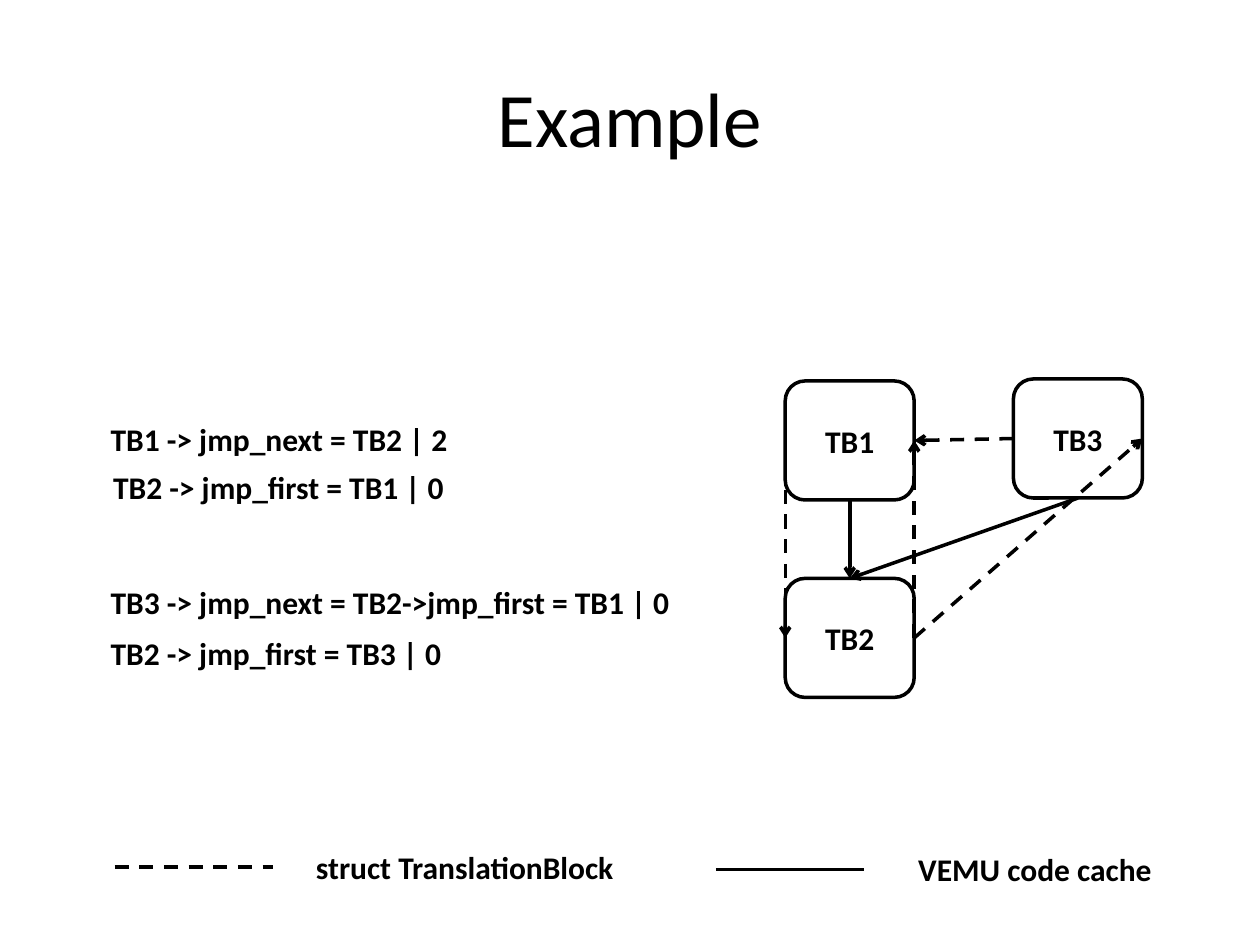
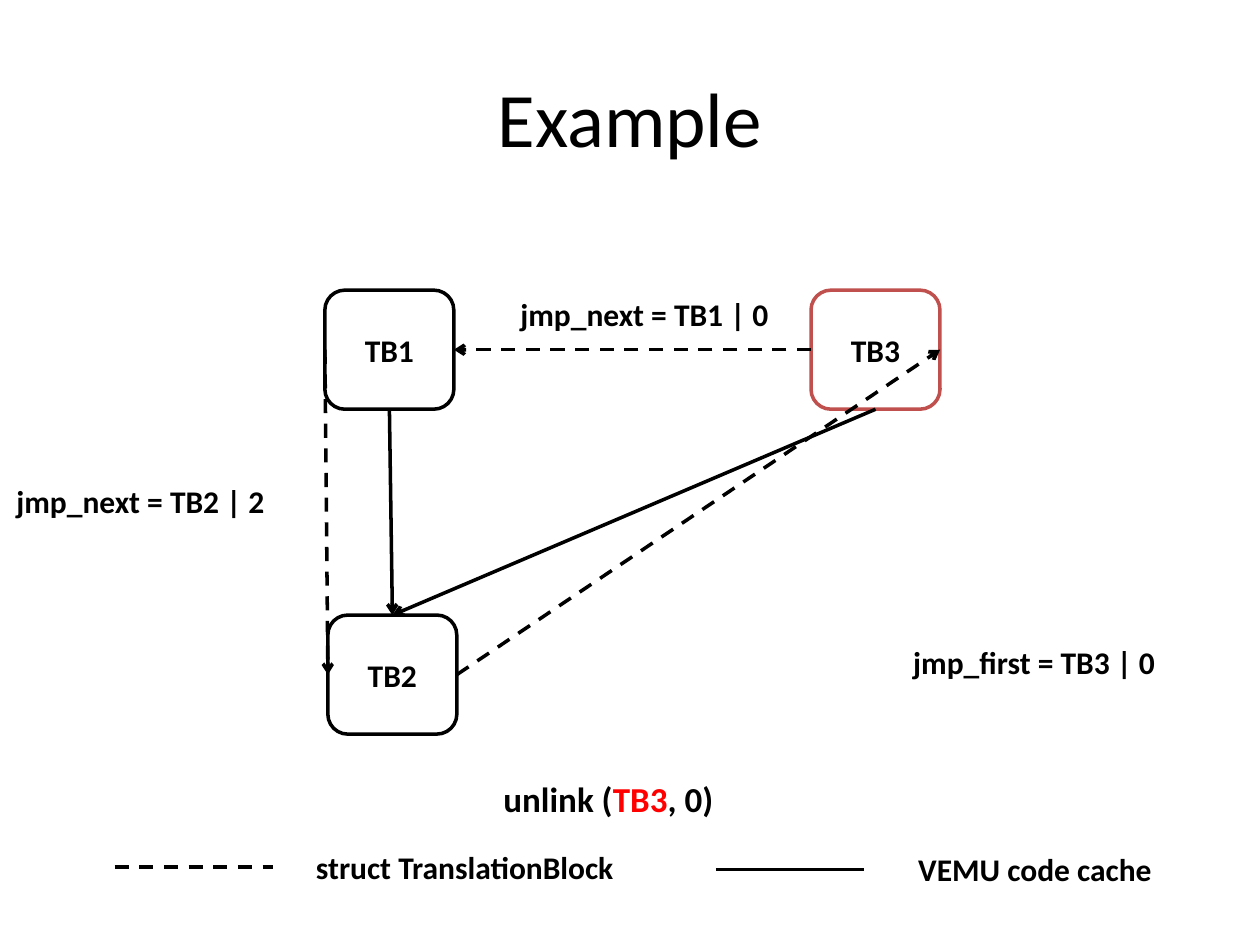
from dataclasses import dataclass

from lxml.etree import SubElement
from pptx import Presentation
from pptx.dml.color import RGBColor
from pptx.enum.dml import MSO_LINE_DASH_STYLE as Dash
from pptx.enum.shapes import MSO_CONNECTOR as ConnectorKind, MSO_SHAPE as ShapeKind
from pptx.enum.text import MSO_ANCHOR as Anchor, MSO_AUTO_SIZE as AutoSize, PP_ALIGN as Align
from pptx.oxml.ns import qn
from pptx.shapes.autoshape import Shape
from pptx.shapes.connector import Connector
from pptx.slide import Slide
from pptx.util import Cm, Pt


@dataclass(frozen=True)
class Theme:
    font: str = "Calibri"
    ink: str = "000000"
    paper: str = "FFFFFF"
    accent: str = "C0504D"
    highlight: str = "FF0000"
    title_size: int = 44
    body_size: int = 18
    call_size: int = 20
    line_width: int = 2


THEME = Theme()
TOP, LEFT, BOTTOM, RIGHT = range(4)
BLOCK_WIDTH, BLOCK_HEIGHT = 2.6, 2.4  # centimetres, as all positions below
LABEL_HEIGHT = 1.02


@dataclass(frozen=True)
class Block:
    name: str
    left: float
    top: float
    outline: str = THEME.ink


@dataclass(frozen=True)
class Link:
    source: str
    source_side: int
    target: str
    target_side: int
    dashed: bool = True


@dataclass(frozen=True)
class Run:
    text: str
    color: str = THEME.ink


@dataclass(frozen=True)
class Label:
    left: float
    top: float
    width: float
    runs: tuple[Run, ...]
    size: int = THEME.body_size


@dataclass(frozen=True)
class LegendLine:
    left: float
    right: float
    y: float
    dashed: bool


@dataclass(frozen=True)
class Diagram:
    blocks: tuple[Block, ...]
    links: tuple[Link, ...]
    labels: tuple[Label, ...]


# Parts on every slide
LEGEND_LINES = (
    LegendLine(2.31, 5.51, 17.48, True),
    LegendLine(14.43, 17.42, 17.53, False),
)
LEGEND_LABELS = (
    Label(6.12, 16.97, 6.58, (Run("struct TranslationBlock"),)),
    Label(18.26, 17.02, 5.28, (Run("VEMU code cache"),)),
)
COMMON_LINKS = (
    Link("TB1", BOTTOM, "TB2", TOP, dashed=False),
    Link("TB3", BOTTOM, "TB2", TOP, dashed=False),
    Link("TB1", LEFT, "TB2", LEFT),
    Link("TB2", RIGHT, "TB3", RIGHT),
    Link("TB3", LEFT, "TB1", RIGHT),
)

# Linking the blocks, then unlinking TB3
DIAGRAMS = (
    Diagram(
        blocks=(
            Block("TB2", 15.83, 11.66),
            Block("TB1", 15.83, 7.68),
            Block("TB3", 20.43, 7.64),
        ),
        links=COMMON_LINKS + (Link("TB2", RIGHT, "TB1", RIGHT),),
        labels=(
            Label(1.98, 8.34, 7.32, (Run("TB1 -> jmp_next = TB2 | 2"),)),
            Label(2.03, 9.32, 7.19, (Run("TB2 -> jmp_first = TB1 | 0"),)),
            Label(1.98, 11.63, 11.81, (Run("TB3 -> jmp_next = TB2->jmp_first = TB1 | 0"),)),
            Label(1.98, 12.65, 7.19, (Run("TB2 -> jmp_first = TB3 | 0"),)),
        ),
    ),
    Diagram(
        blocks=(
            Block("TB2", 6.61, 12.4),
            Block("TB1", 6.55, 5.85),
            Block("TB3", 16.35, 5.85, THEME.accent),
        ),
        links=COMMON_LINKS,
        labels=(
            Label(10.24, 5.82, 5.51, (Run("jmp_next = TB1 | 0"),)),
            Label(0.08, 9.59, 5.51, (Run("jmp_next = TB2 | 2"),)),
            Label(18.16, 12.83, 5.54, (Run("jmp_first = TB3 | 0"),)),
            Label(9.9, 15.54, 5, (Run("unlink ("), Run("TB3", THEME.highlight), Run(", 0)")),
                  THEME.call_size),
        ),
    ),
)


def write_runs(shape: Shape, runs: tuple[Run, ...], size: int,
               align: Align, bold: bool = True) -> None:
    paragraph = shape.text_frame.paragraphs[0]
    paragraph.alignment = align
    for item in runs:
        run = paragraph.add_run()
        run.text = item.text
        run.font.name = THEME.font
        run.font.size = Pt(size)
        run.font.bold = bold
        run.font.color.rgb = RGBColor.from_string(item.color)


def set_title(slide: Slide, text: str) -> None:
    title = slide.shapes.title
    title.left, title.top, title.width, title.height = Cm(1.27), Cm(0.76), Cm(22.86), Cm(3.18)
    title.text_frame.vertical_anchor = Anchor.MIDDLE
    write_runs(title, (Run(text),), THEME.title_size, Align.CENTER, bold=False)


def draw_block(slide: Slide, block: Block) -> Shape:
    shape = slide.shapes.add_shape(
        ShapeKind.ROUNDED_RECTANGLE, Cm(block.left), Cm(block.top),
        Cm(BLOCK_WIDTH), Cm(BLOCK_HEIGHT))
    shape.shadow.inherit = False
    shape.fill.solid()
    shape.fill.fore_color.rgb = RGBColor.from_string(THEME.paper)
    shape.line.color.rgb = RGBColor.from_string(block.outline)
    shape.line.width = Pt(THEME.line_width)
    shape.text_frame.vertical_anchor = Anchor.MIDDLE
    write_runs(shape, (Run(block.name),), THEME.body_size, Align.CENTER)
    return shape


def draw_line(slide: Slide, dashed: bool, left: float = 0, right: float = 0,
              y: float = 0) -> Connector:
    connector = slide.shapes.add_connector(
        ConnectorKind.STRAIGHT, Cm(left), Cm(y), Cm(right), Cm(y))
    connector.line.color.rgb = RGBColor.from_string(THEME.ink)
    connector.line.width = Pt(THEME.line_width)
    if dashed:
        connector.line.dash_style = Dash.DASH
    SubElement(connector._element.spPr, qn("a:effectLst"))
    return connector


def draw_link(slide: Slide, link: Link, shapes: dict[str, Shape]) -> None:
    connector = draw_line(slide, link.dashed)
    connector.begin_connect(shapes[link.source], link.source_side)
    connector.end_connect(shapes[link.target], link.target_side)
    SubElement(connector.line._get_or_add_ln(), qn("a:tailEnd"), type="arrow")


def draw_label(slide: Slide, label: Label) -> None:
    box = slide.shapes.add_textbox(
        Cm(label.left), Cm(label.top), Cm(label.width), Cm(LABEL_HEIGHT))
    box.text_frame.word_wrap = False
    box.text_frame.auto_size = AutoSize.SHAPE_TO_FIT_TEXT
    write_runs(box, label.runs, label.size, Align.LEFT)


def draw_diagram(slide: Slide, diagram: Diagram) -> None:
    set_title(slide, "Example")
    shapes = {block.name: draw_block(slide, block) for block in diagram.blocks}
    for link in diagram.links:
        draw_link(slide, link, shapes)
    for line in LEGEND_LINES:
        draw_line(slide, line.dashed, line.left, line.right, line.y)
    for label in diagram.labels + LEGEND_LABELS:
        draw_label(slide, label)


def main() -> None:
    presentation = Presentation()
    presentation.slide_width, presentation.slide_height = Cm(25.4), Cm(19.05)
    title_only = presentation.slide_layouts[5]
    for diagram in DIAGRAMS:
        draw_diagram(presentation.slides.add_slide(title_only), diagram)
    presentation.save("out.pptx")


if __name__ == "__main__":
    main()
